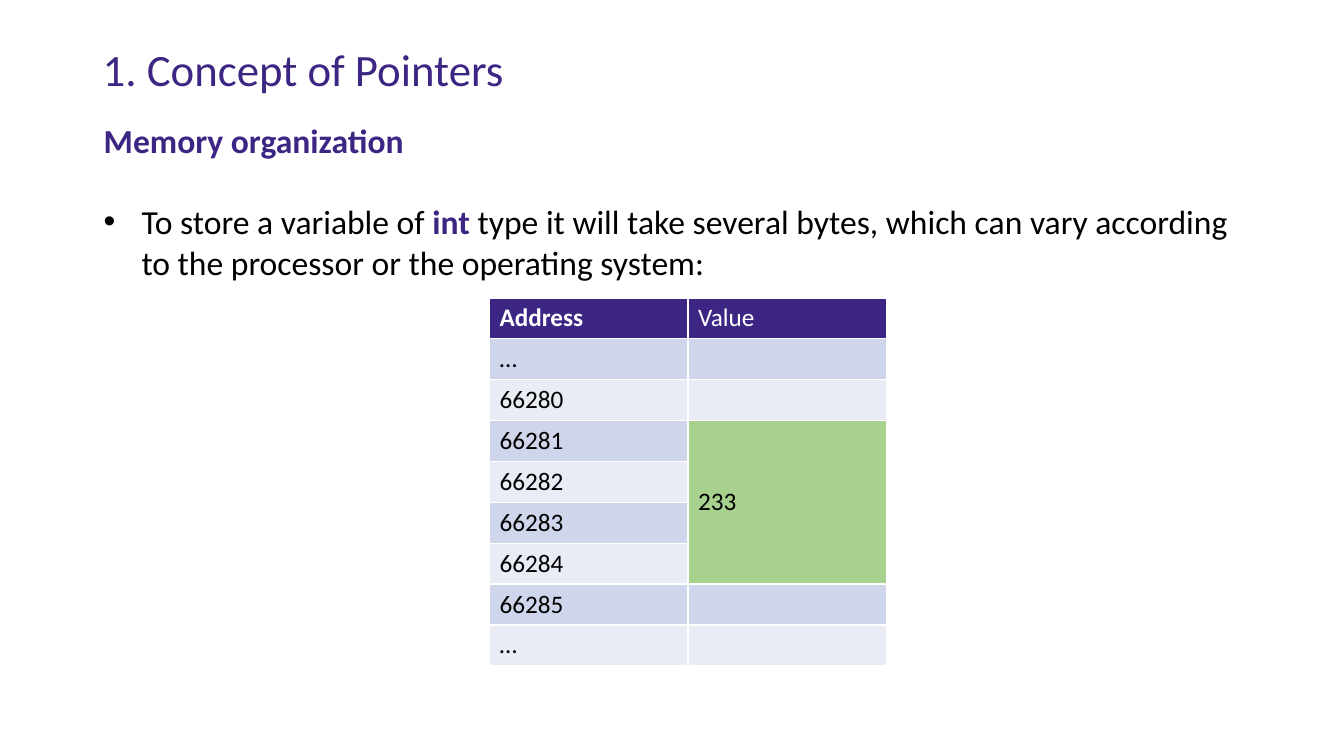
from lxml import etree
from pptx import Presentation
from pptx.dml.color import RGBColor
from pptx.enum.text import MSO_ANCHOR, MSO_AUTO_SIZE, PP_ALIGN
from pptx.oxml.ns import qn
from pptx.util import Pt

LEFT = PP_ALIGN.LEFT
TOP, MIDDLE = MSO_ANCHOR.TOP, MSO_ANCHOR.MIDDLE
NO_AUTOFIT = MSO_AUTO_SIZE.NONE
TITLE_ONLY = 5
FONT = "Calibri"
COLORS = {
    "purple": "3D2683",
    "black": "000000",
    "white": "FFFFFF",
    "dark_band": "CFD5EA",
    "light_band": "E9EBF5",
    "green": "A9D18E",
}
ADDRESSES = ["…", *map(str, range(66280, 66286)), "…"]
INT_FIRST_ROW, INT_LAST_ROW = 3, 6
COLUMN_WIDTH, ROW_HEIGHT = 141.8, 29.2


def color(name):
    return RGBColor.from_string(COLORS[name])


def write(paragraph, text, size=24, ink="black", bold=False):
    run = paragraph.add_run()
    run.text = text
    run.font.name = FONT
    run.font.size = Pt(size)
    run.font.bold = bold
    run.font.color.rgb = color(ink)


def add_bullet(paragraph, indent):
    properties = paragraph._p.get_or_add_pPr()
    properties.set("marL", str(Pt(indent)))
    properties.set("indent", str(-Pt(indent)))
    etree.SubElement(properties, qn("a:buFont"), typeface="Arial")
    etree.SubElement(properties, qn("a:buChar"), char="•")


def add_borders(cell):
    properties = cell._tc.get_or_add_tcPr()
    for side in ("lnL", "lnR", "lnT", "lnB"):
        line = etree.SubElement(properties, qn(f"a:{side}"), w=str(Pt(1)))
        fill = etree.SubElement(line, qn("a:solidFill"))
        etree.SubElement(fill, qn("a:srgbClr"), val=COLORS["white"])


def format_cell(cell, band, text="", **text_format):
    add_borders(cell)
    cell.fill.solid()
    cell.fill.fore_color.rgb = color(band)
    if text:
        write(cell.text_frame.paragraphs[0], text, size=18, **text_format)


def set_title(slide, text):
    title = slide.shapes.title
    title.left, title.top, title.width, title.height = map(Pt, (66.2, 28.8, 828, 45.4))
    frame = title.text_frame
    frame.auto_size = NO_AUTOFIT
    frame.vertical_anchor = MIDDLE
    heading = frame.paragraphs[0]
    heading.alignment = LEFT
    heading.line_spacing = 0.9
    write(heading, text, size=32, ink="purple")


def add_explanation(slide):
    frame = slide.shapes.add_textbox(*map(Pt, (67, 82.1, 842.4, 385.2))).text_frame
    frame.word_wrap = True
    frame.vertical_anchor = TOP
    write(frame.paragraphs[0], "Memory organization", ink="purple", bold=True)
    explanation = frame.add_paragraph()
    explanation.space_before = Pt(29.3)
    add_bullet(explanation, 27)
    write(explanation, "To store a variable of ")
    write(explanation, "int", ink="purple", bold=True)
    write(explanation, " type it will take several bytes, which can vary "
                       "according to the processor or the operating system:")


def add_memory_table(slide):
    row_count = len(ADDRESSES) + 1
    memory = slide.shapes.add_table(
        row_count, 2, Pt(349.6), Pt(212.8),
        Pt(2 * COLUMN_WIDTH), Pt(row_count * ROW_HEIGHT)).table
    for column in memory.columns:
        column.width = Pt(COLUMN_WIDTH)
    for row in memory.rows:
        row.height = Pt(ROW_HEIGHT)

    format_cell(memory.cell(0, 0), "purple", "Address", ink="white", bold=True)
    format_cell(memory.cell(0, 1), "purple", "Value", ink="white")
    for row, address in enumerate(ADDRESSES, start=1):
        band = "dark_band" if row % 2 else "light_band"
        holds_int = INT_FIRST_ROW <= row <= INT_LAST_ROW
        format_cell(memory.cell(row, 0), band, address)
        format_cell(memory.cell(row, 1), "green" if holds_int else band,
                    "233" if row == INT_FIRST_ROW else "")

    int_value = memory.cell(INT_FIRST_ROW, 1)
    int_value.merge(memory.cell(INT_LAST_ROW, 1))
    int_value.vertical_anchor = MIDDLE


def main():
    presentation = Presentation()
    presentation.slide_width = Pt(960)
    presentation.slide_height = Pt(540)
    slide = presentation.slides.add_slide(presentation.slide_layouts[TITLE_ONLY])
    set_title(slide, "1. Concept of Pointers")
    add_explanation(slide)
    add_memory_table(slide)
    presentation.save("out.pptx")


if __name__ == "__main__":
    main()
